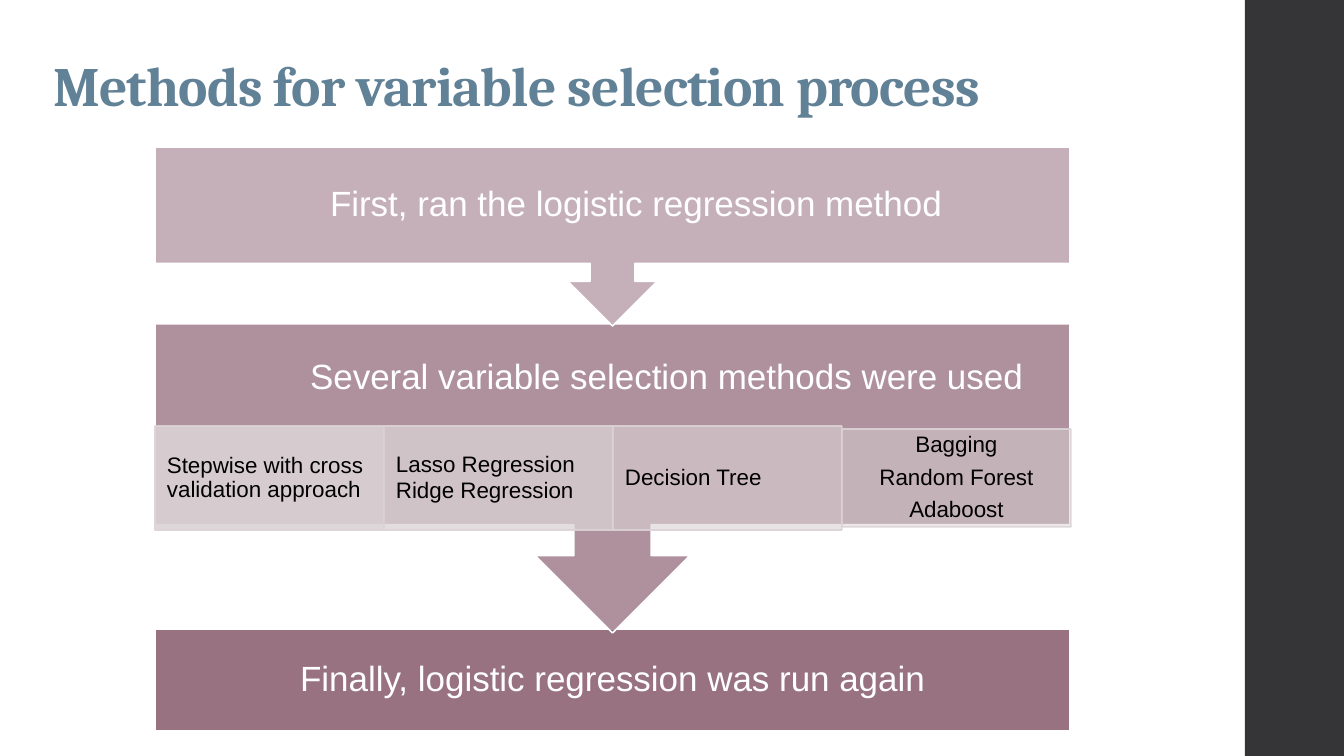
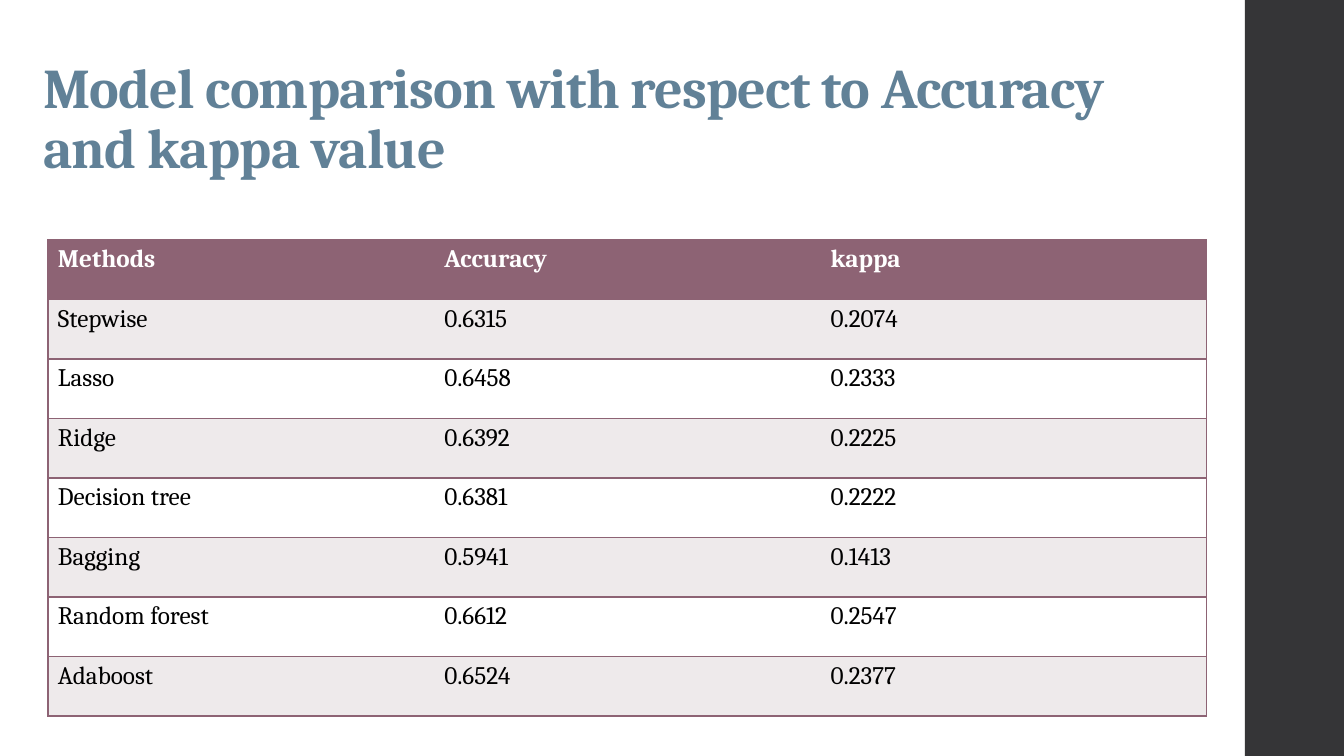
from lxml.etree import SubElement
from pptx import Presentation
from pptx.dml.color import RGBColor
from pptx.enum.shapes import MSO_SHAPE as Shape
from pptx.enum.text import MSO_ANCHOR as Anchor, PP_ALIGN as Align
from pptx.oxml.ns import qn
from pptx.util import Pt

PX = 914400 / 100.8  # EMU in one px
COLORS = {
    "sidebar": "353537",
    "title": "618197",
    "mauve": "8D6374",
    "pale": "DBD3D6",
    "band": "EEEAEB",
    "white": "FFFFFF",
    "black": "000000",
}


def write(frame, text, font="Arial", size=25, color="white", bold=False, align=Align.LEFT,
          anchor=Anchor.MIDDLE, margins=(10, 5, 10, 5), line_spacing=0.9, gap=0, tracking=0):
    """Fill a text frame, one paragraph per line; margins are left, top, right, bottom."""
    frame.word_wrap = True
    frame.vertical_anchor = anchor
    (frame.margin_left, frame.margin_top,
     frame.margin_right, frame.margin_bottom) = [round(margin * PX) for margin in margins]
    lines = text.split("\n")
    for index, line in enumerate(lines):
        paragraph = frame.paragraphs[0] if index == 0 else frame.add_paragraph()
        paragraph.alignment = align
        paragraph.line_spacing = line_spacing
        paragraph.space_after = Pt(gap if index < len(lines) - 1 else 0)
        run = paragraph.add_run()
        run.text = line
        run.font.name, run.font.size, run.font.bold = font, Pt(size), bold
        run.font.color.rgb = RGBColor.from_string(COLORS[color])
        if tracking:
            run.font._element.set("spc", str(tracking))


def add_box(slide, kind, bounds, fill, opacity=100, line=None, line_opacity=100):
    shape = slide.shapes.add_shape(kind, *[round(length * PX) for length in bounds])
    shape.shadow.inherit = False
    shape.fill.solid()
    shape.fill.fore_color.rgb = RGBColor.from_string(COLORS[fill])
    if line:
        shape.line.color.rgb = RGBColor.from_string(COLORS[line])
        shape.line.width = Pt(1.1)
    else:
        shape.line.fill.background()
    # The fill colour comes first, the line colour second
    colors = shape.element.spPr.iter(qn("a:srgbClr"))
    for color, percent in zip(list(colors), (opacity, line_opacity)):
        if percent < 100:
            SubElement(color, qn("a:alpha")).set("val", str(round(percent * 1000)))
    return shape


presentation = Presentation()
presentation.slide_width = round(1344 * PX)
presentation.slide_height = round(756 * PX)

# Shared sidebar and title
titles = [
    ("Methods for variable selection process", 39.6, (43, 25, 1162, 98)),
    ("Model comparison with respect to Accuracy and kappa value", 40, (33, 40, 1174, 146)),
]
for title, size, bounds in titles:
    slide = presentation.slides.add_slide(presentation.slide_layouts[6])
    add_box(slide, Shape.RECTANGLE, (1245, 0, 99, 756), "sidebar")
    title_box = slide.shapes.add_textbox(*[round(length * PX) for length in bounds])
    write(title_box.text_frame, title, font="Cambria", size=size, color="title", bold=True,
          anchor=Anchor.BOTTOM, tracking=-50)
process_slide, comparison_slide = presentation.slides

# Process steps, last one first so that each arrow tip lies over the next step
LEFT, WIDTH = 155, 915
steps = [
    ("Finally, logistic regression was run again", Shape.RECTANGLE, 629, 102, 90,
     Align.CENTER, (19, 19, 19, 19)),
    ("Several variable selection methods were used", Shape.DOWN_ARROW_CALLOUT, 324, 309, 70,
     Align.LEFT, (155, 19, 19, 111)),
    ("First, ran the logistic regression method", Shape.DOWN_ARROW_CALLOUT, 147, 179, 50,
     Align.LEFT, (175, 19, 19, 19)),
]
for text, kind, top, height, opacity, align, margins in steps:
    step = add_box(process_slide, kind, (LEFT, top, WIDTH, height), "mauve", opacity, "white")
    write(step.text_frame, text, align=align, margins=margins)

# Selection methods along the foot of the middle step
METHOD_WIDTH = 229
methods = [
    ("Stepwise with cross validation approach", 426, 104, Align.LEFT, 0.9),
    ("Lasso Regression Ridge Regression", 426, 104, Align.LEFT, 0.95),
    ("Decision Tree", 426, 104, Align.LEFT, 0.95),
    ("Bagging\nRandom Forest\nAdaboost", 429, 98, Align.CENTER, 0.9),
]
for index, (text, top, height, align, spacing) in enumerate(methods):
    bounds = (LEFT + index * METHOD_WIDTH, top, METHOD_WIDTH, height)
    method = add_box(process_slide, Shape.RECTANGLE, bounds, "pale",
                     90 - index * 40 / 3, "pale", 90)
    write(method.text_frame, text, size=16, color="black", align=align,
          margins=(12, 2, 12, 2), line_spacing=spacing, gap=6)

# Comparison table
rows = [
    ("Methods", "Accuracy", "kappa"),
    ("Stepwise", "0.6315", "0.2074"),
    ("Lasso", "0.6458", "0.2333"),
    ("Ridge", "0.6392", "0.2225"),
    ("Decision tree", "0.6381", "0.2222"),
    ("Bagging", "0.5941", "0.1413"),
    ("Random forest", "0.6612", "0.2547"),
    ("Adaboost", "0.6524", "0.2377"),
]
table_bounds = [round(length * PX) for length in (48, 240, 1159, 476)]
table = comparison_slide.shapes.add_table(len(rows), len(rows[0]), *table_bounds).table
table.horz_banding = False
for row_index, row in enumerate(rows):
    header = row_index == 0
    fill = "mauve" if header else "band" if row_index % 2 else "white"
    for column_index, text in enumerate(row):
        cell = table.cell(row_index, column_index)
        write(cell.text_frame, text, font="Cambria", size=18, bold=header,
              color="white" if header else "black", anchor=Anchor.TOP, line_spacing=1)
        # Lines above and below every row, and around the outside
        properties = cell._tc.get_or_add_tcPr()
        borders = {"L": column_index == 0, "R": column_index == len(row) - 1,
                   "T": True, "B": True}
        for side, visible in borders.items():
            border = SubElement(properties, qn(f"a:ln{side}"), w=str(Pt(1)))
            if visible:
                solid = SubElement(border, qn("a:solidFill"))
                SubElement(solid, qn("a:srgbClr"), val=COLORS["mauve"])
            else:
                SubElement(border, qn("a:noFill"))
        cell.fill.solid()
        cell.fill.fore_color.rgb = RGBColor.from_string(COLORS[fill])
        cell.vertical_anchor = Anchor.TOP
        cell.margin_left = cell.margin_right = round(10 * PX)
        cell.margin_top = cell.margin_bottom = round(5 * PX)

presentation.save("out.pptx")
